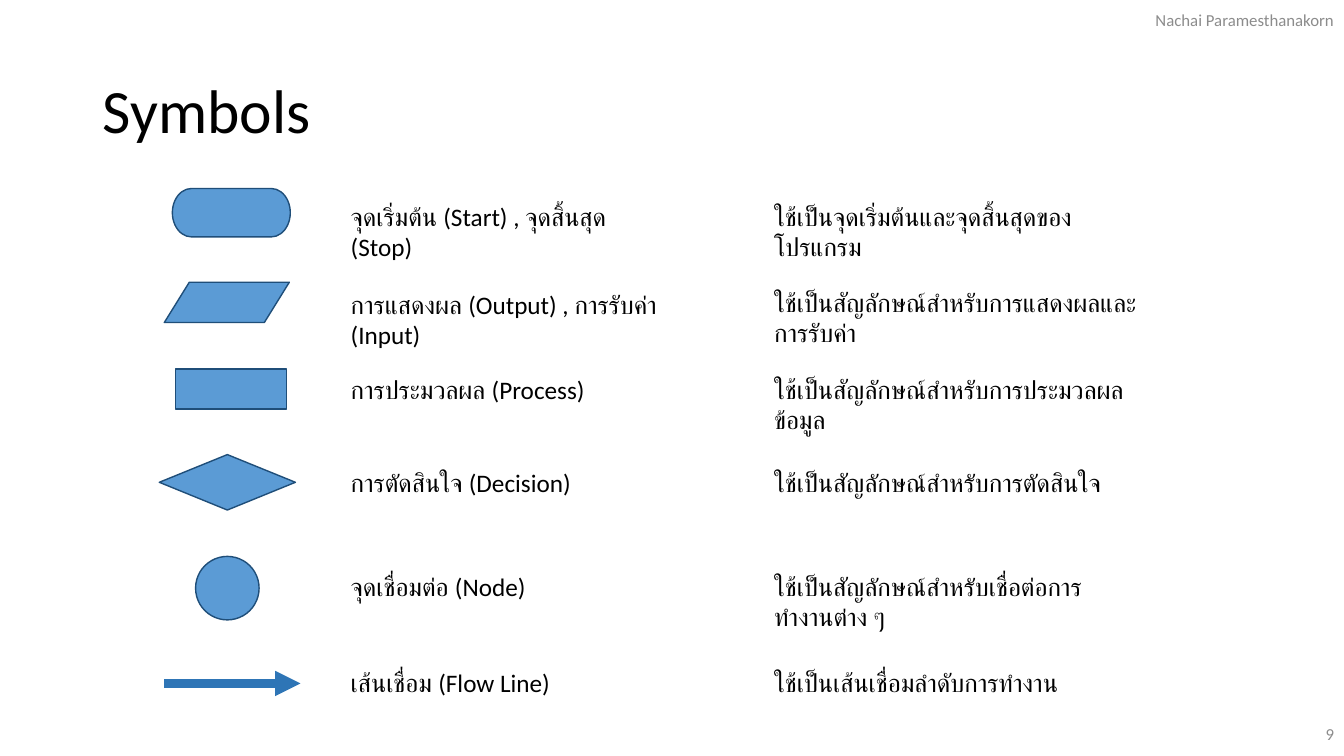
import pptx
import pptx.dml.color
import pptx.enum.shapes
import pptx.enum.text
import pptx.oxml
import pptx.oxml.ns
import pptx.util

SHAPE = pptx.enum.shapes.MSO_SHAPE
ALIGN = pptx.enum.text.PP_ALIGN
ANCHOR = pptx.enum.text.MSO_ANCHOR
FIT = pptx.enum.text.MSO_AUTO_SIZE
PX = 9144


def color(value):
    return pptx.dml.color.RGBColor.from_string(value)


def assign(obj, values):
    for name, value in values.items():
        setattr(obj, name, value)


class Deck:
    """Hold the style and the current slide, and draw each kind of element."""

    font, text, muted = "Calibri", "000000", "8C8C8C"
    fill, outline, arrow_line = "5B9BD5", "1F4E79", "2E75B6"

    def __init__(self, width, height):
        self.prs = pptx.Presentation()
        assign(self.prs, {"slide_width": width * PX, "slide_height": height * PX})
        self.s = self.prs.slides.add_slide(self.prs.slide_layouts[5])

    def put_text(self, sp, text, size, hue, frame, para):
        tf = sp.text_frame
        assign(tf, {"word_wrap": True, **frame})
        p = tf.paragraphs[0]
        assign(p, para)
        r = p.add_run()
        r.text = text
        assign(r.font, {"size": pptx.util.Pt(size), "name": self.font})
        r.font.color.rgb = color(hue)

    def title(self, text, x, y, w, h):
        sp = self.s.shapes.title
        assign(sp, {"left": x * PX, "top": y * PX, "width": w * PX, "height": h * PX})
        self.put_text(sp, text, 44, self.text,
                      {"vertical_anchor": ANCHOR.MIDDLE, "auto_size": FIT.NONE},
                      {"alignment": ALIGN.LEFT, "line_spacing": 0.9})

    def box(self, x, y, w, h):
        return self.s.shapes.add_textbox(x * PX, y * PX, w * PX, h * PX)

    def label(self, text, x, y, w, h=40):
        self.put_text(self.box(x, y, w, h), text, 18, self.text,
                      {"auto_size": FIT.SHAPE_TO_FIT_TEXT}, {"alignment": ALIGN.LEFT})

    def margin_note(self, text, x, y, w, h=40):
        self.put_text(self.box(x, y, w, h), text, 12, self.muted,
                      {"vertical_anchor": ANCHOR.MIDDLE}, {"alignment": ALIGN.RIGHT})

    def symbol(self, kind, x, y, w, h):
        sp = self.s.shapes.add_shape(kind, x * PX, y * PX, w * PX, h * PX)
        sp.shadow.inherit = False
        sp.fill.solid()
        sp.fill.fore_color.rgb = color(self.fill)
        sp.line.color.rgb = color(self.outline)
        sp.line.width = pptx.util.Pt(1)

    def arrow(self, x1, y1, x2, y2):
        kind = pptx.enum.shapes.MSO_CONNECTOR.STRAIGHT
        sp = self.s.shapes.add_connector(kind, x1 * PX, y1 * PX, x2 * PX, y2 * PX)
        sp.line.color.rgb = color(self.arrow_line)
        sp.line.width = pptx.util.Pt(6)
        ns = pptx.oxml.ns.nsdecls("a")
        props = sp.element.spPr
        ln = props.find(pptx.oxml.ns.qn("a:ln"))
        ln.append(pptx.oxml.parse_xml(f'<a:tailEnd {ns} type="triangle"/>'))
        props.append(pptx.oxml.parse_xml(f"<a:effectLst {ns}/>"))


SYMBOLS = [
    (SHAPE.FLOWCHART_TERMINATOR, (171, 187, 117, 48)),
    (SHAPE.FLOWCHART_DATA, (163, 280, 124, 40)),
    (SHAPE.RECTANGLE, (174, 366, 110, 40)),
    (SHAPE.FLOWCHART_DECISION, (158, 451, 135, 55)),
    (SHAPE.FLOWCHART_CONNECTOR, (194, 552, 63, 63)),
]
MEANINGS = [
    (195, "จุดเริ่มต้น (Start) , จุดสิ้นสุด (Stop)",
     195, "ใช้เป็นจุดเริ่มต้นและจุดสิ้นสุดของโปรแกรม"),
    (282, "การแสดงผล (Output) , การรับค่า (Input)",
     280, "ใช้เป็นสัญลักษณ์สำหรับการแสดงผลและการรับค่า"),
    (366, "การประมวลผล (Process)",
     366, "ใช้เป็นสัญลักษณ์สำหรับการประมวลผลข้อมูล"),
    (459, "การตัดสินใจ (Decision)",
     459, "ใช้เป็นสัญลักษณ์สำหรับการตัดสินใจ"),
    (562, "จุดเชื่อมต่อ (Node)",
     562, "ใช้เป็นสัญลักษณ์สำหรับเชื่อต่อการทำงานต่าง ๆ"),
    (657, "เส้นเชื่อม (Flow Line)",
     657, "ใช้เป็นเส้นเชื่อมลำดับการทำงาน"),
]


def main():
    deck = Deck(1333, 750)
    deck.title("Symbols", 92, 40, 1150, 145)
    for kind, place in SYMBOLS:
        deck.symbol(kind, *place)
    deck.arrow(163, 678, 298, 678)
    for name_y, name, use_y, use in MEANINGS:
        deck.label(name, 338, name_y, 337)
        deck.label(use, 758, use_y, 383)
    deck.margin_note("9", 1033, 708, 300)
    deck.margin_note("Nachai Paramesthanakorn", 1049, 0, 284)
    deck.prs.save("out.pptx")


if __name__ == "__main__":
    main()
